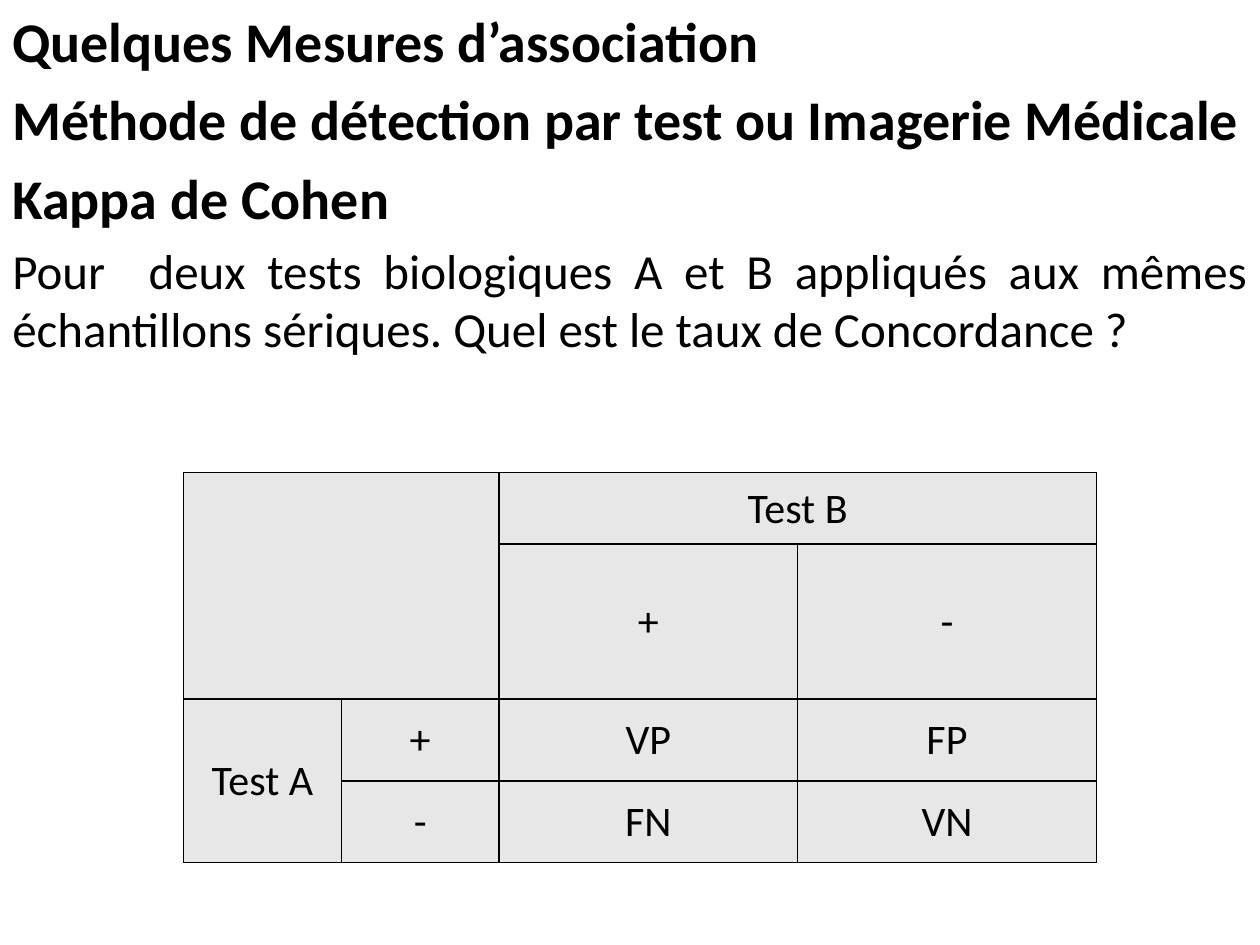
from pptx import Presentation
from pptx.dml.color import RGBColor
from pptx.enum.text import MSO_ANCHOR, PP_ALIGN
from pptx.oxml import parse_xml
from pptx.oxml.ns import nsdecls
from pptx.util import Cm, Pt

BLACK = RGBColor(0x00, 0x00, 0x00)
GREY = RGBColor(0xE7, 0xE7, 0xE7)
LEFT, CENTER, JUSTIFY = PP_ALIGN.LEFT, PP_ALIGN.CENTER, PP_ALIGN.JUSTIFY
MIDDLE = MSO_ANCHOR.MIDDLE
BLANK_LAYOUT = 6


def write(para, text, size, bold=False, align=LEFT, before=0):
    """Fill one paragraph with formatted text."""
    para.alignment = align
    para.space_before = Pt(before)
    span = para.add_run()
    span.text = text
    span.font.name = "Calibri"
    span.font.size = Pt(size)
    span.font.bold = bold
    span.font.color.rgb = BLACK


class SlideBuilder:
    """Holds the style and the current page."""

    border_width = Pt(1)
    cell_size = 24
    spacing = 0.2  # space before a paragraph, as a share of its text size

    def __init__(self, deck):
        self.page = deck.slides.add_slide(deck.slide_layouts[BLANK_LAYOUT])

    def text(self, left, top, width, height, lines):
        box = self.page.shapes.add_textbox(Cm(left), Cm(top), Cm(width), Cm(height))
        frame = box.text_frame
        frame.word_wrap = True
        for index, (text, size, bold, align) in enumerate(lines):
            para = frame.add_paragraph() if index else frame.paragraphs[0]
            write(para, text, size, bold, align, before=size * self.spacing)

    def table(self, left, top, widths, heights, rows, merges):
        shape = self.page.shapes.add_table(
            len(heights), len(widths), Cm(left), Cm(top),
            Cm(sum(widths)), Cm(sum(heights)))
        grid = shape.table
        grid.first_row = grid.horz_banding = False
        for column, width in zip(grid.columns, widths):
            column.width = Cm(width)
        for row, height in zip(grid.rows, heights):
            row.height = Cm(height)
        for row, texts in enumerate(rows):
            for column, text in enumerate(texts):
                self.cell(grid.cell(row, column), text)
        for first, last in merges:
            grid.cell(*first).merge(grid.cell(*last))

    def cell(self, cell, text):
        cell.margin_left = cell.margin_right = cell.margin_top = Cm(0.03)
        cell.margin_bottom = 0
        cell.vertical_anchor = MIDDLE
        if text:
            write(cell.text_frame.paragraphs[0], text, self.cell_size, align=CENTER)
        # Borders come before the fill in the cell properties
        properties = cell._tc.get_or_add_tcPr()
        for side in ("lnL", "lnR", "lnT", "lnB"):
            properties.append(parse_xml(
                f'<a:{side} {nsdecls("a")} w="{self.border_width}"><a:solidFill>'
                f'<a:srgbClr val="{BLACK}"/></a:solidFill></a:{side}>'))
        cell.fill.solid()
        cell.fill.fore_color.rgb = GREY


def main():
    deck = Presentation()
    deck.slide_width, deck.slide_height = Cm(25.4), Cm(19.05)
    builder = SlideBuilder(deck)

    # Headings and question
    builder.text(0, 0, 25.4, 19.05, [
        ("Quelques Mesures d’association", 32, True, LEFT),
        ("Méthode de détection par test ou Imagerie Médicale", 32, True, LEFT),
        ("Kappa de Cohen", 32, True, LEFT),
        ("Pour  deux tests biologiques A et B appliqués aux mêmes échantillons "
         "sériques. Quel est le taux de Concordance ?", 28, False, JUSTIFY),
    ])

    # Agreement table of the two tests
    builder.table(
        3.7, 9.52, widths=[3.18, 3.18, 6.02, 6.02], heights=[1.45, 3.12, 1.65, 1.65],
        rows=[
            ["", "", "Test B", ""],
            ["", "", "+", "-"],
            ["Test A", "+", "VP", "FP"],
            ["", "-", "FN", "VN"],
        ],
        merges=[((0, 0), (1, 1)), ((0, 2), (0, 3)), ((2, 0), (3, 0))])

    deck.save("out.pptx")


if __name__ == "__main__":
    main()
